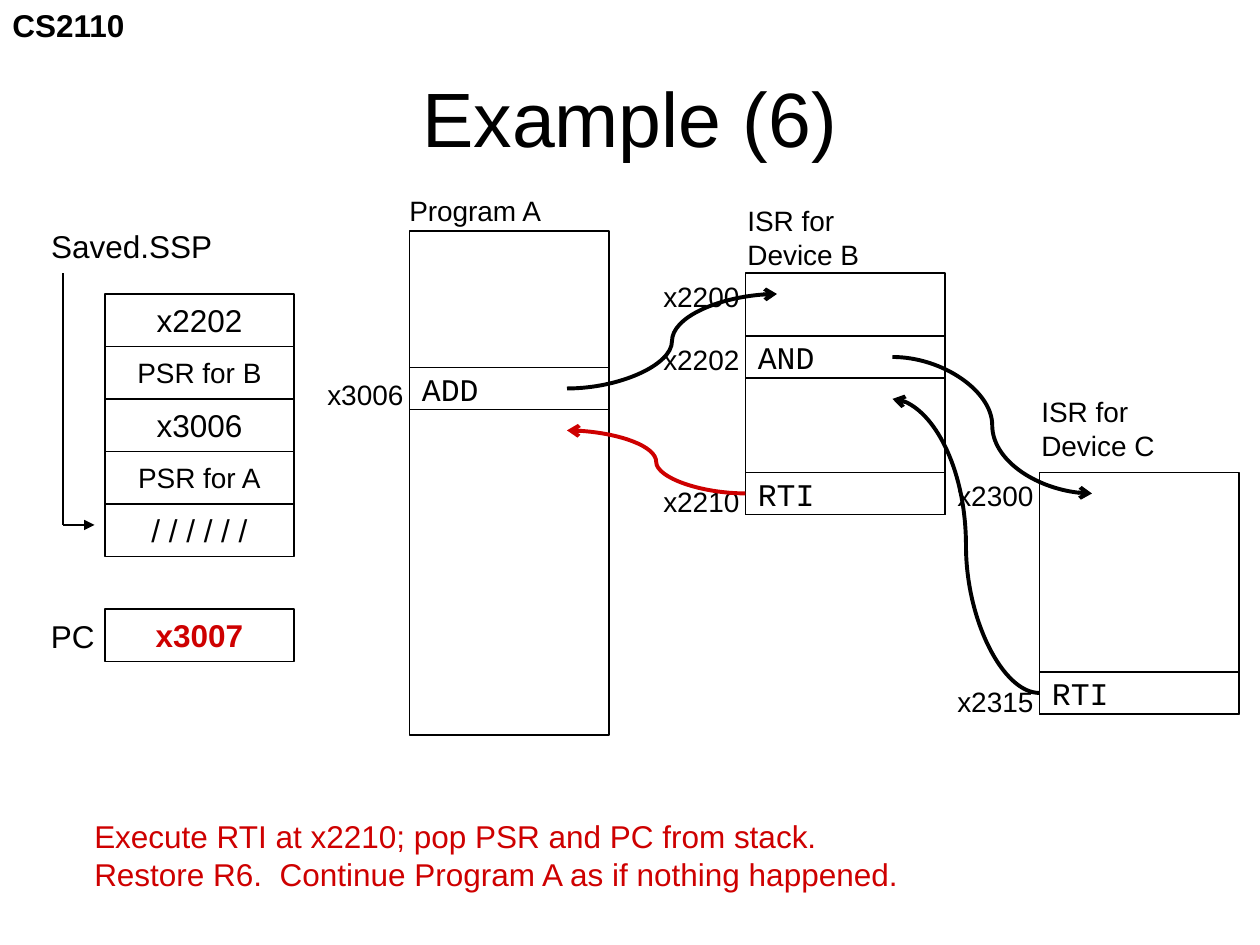
from collections import namedtuple
from dataclasses import dataclass

import pptx
import pptx.dml.color
import pptx.enum.shapes
import pptx.enum.text
import pptx.oxml
import pptx.oxml.ns
import pptx.util

Align = pptx.enum.text.PP_ALIGN
Anchor = pptx.enum.text.MSO_ANCHOR
Connector = pptx.enum.shapes.MSO_CONNECTOR

# Every length is in grid units: the slide has 120 columns and 90 rows.
COLUMNS, ROWS = 120, 90
Box = namedtuple("Box", "left top width height")


@dataclass(frozen=True)
class Theme:
    ink: str = "000000"
    accent: str = "CE0000"
    sans: str = "Arial"
    code: str = "Courier New"
    title: int = 44
    body: int = 18
    label: int = 16
    thin: float = 0.75
    medium: float = 1.5
    thick: float = 2.25


THEME = Theme()


def grid(units):
    return pptx.util.Inches(units / 12)


def paint(line, color, width):
    line.color.rgb = pptx.dml.color.RGBColor.from_string(color)
    line.width = pptx.util.Pt(width)


def write(text_frame, text, size=THEME.body, color=THEME.ink, font=THEME.sans,
          bold=False, align=Align.LEFT):
    text_frame.text = text
    for paragraph in text_frame.paragraphs:
        paragraph.alignment = align
        for run in paragraph.runs:
            run.font.name = font
            run.font.size = pptx.util.Pt(size)
            run.font.bold = bold
            run.font.color.rgb = pptx.dml.color.RGBColor.from_string(color)


def add_label(slide, box, text, **style):
    label = slide.shapes.add_textbox(*map(grid, box))
    label.text_frame.word_wrap = False
    write(label.text_frame, text, **style)


def add_cell(slide, box, text="", **style):
    cell = slide.shapes.add_shape(
        pptx.enum.shapes.MSO_SHAPE.RECTANGLE, *map(grid, box))
    cell.shadow.inherit = False
    cell.fill.background()
    paint(cell.line, THEME.ink, THEME.thin)
    if text:
        cell.text_frame.vertical_anchor = Anchor.MIDDLE
        write(cell.text_frame, text, **style)


def add_line(slide, start, end, kind=Connector.STRAIGHT, color=THEME.ink,
             width=THEME.medium, head=None):
    connector = slide.shapes.add_connector(kind, *map(grid, start + end))
    paint(connector.line, color, width)
    properties = connector._element.spPr
    if head:
        tail = pptx.oxml.parse_xml(
            f'<a:tailEnd {pptx.oxml.ns.nsdecls("a")} type="{head}"/>')
        connector.line._get_or_add_ln().append(tail)
    properties.append(pptx.oxml.parse_xml(
        f'<a:effectLst {pptx.oxml.ns.nsdecls("a")}/>'))


def add_header(slide, box):
    add_label(slide, Box(0, 0, 13.2, 4.8), "CS2110", bold=True)
    title = slide.shapes.title
    title.left, title.top, title.width, title.height = map(grid, box)
    title.text_frame.vertical_anchor = Anchor.MIDDLE
    write(title.text_frame, "Example (6)", size=THEME.title, align=Align.CENTER)


def add_stack(slide, box, entries):
    """Saved values from the top down, with the stack pointer and the PC beside them."""
    height = box.height / len(entries)
    for index, (text, size) in enumerate(entries):
        cell = Box(box.left, box.top + index * height, box.width, height)
        add_cell(slide, cell, text, size=size, align=Align.CENTER)

    pointer, bottom = box.left - 4, box.top + box.height - height / 2 - 0.5
    add_label(slide, Box(2, box.top - 7, 19.4, 5.2), "Saved.SSP", align=Align.RIGHT)
    add_line(slide, (pointer, bottom), (pointer, box.top - 2))
    add_line(slide, (pointer, bottom), (box.left - 1, bottom), head="triangle")

    counter = Box(box.left, box.top + box.height + height, box.width, height)
    add_cell(slide, counter, "x3007", color=THEME.accent, bold=True, align=Align.CENTER)
    add_label(slide, Box(3.1, counter.top + 0.2, 7.1, 5.2), "PC", align=Align.RIGHT)


def add_routine(slide, box, heading, heading_box, instructions, addresses):
    """A block of memory; instruction and address rows count from its top."""
    add_cell(slide, box)
    add_label(slide, Box(box.left + heading_box.left, box.top + heading_box.top,
                         heading_box.width, heading_box.height),
              heading, size=THEME.label)
    for row, code in instructions:
        add_cell(slide, Box(box.left, box.top + row, box.width, 4), code,
                 font=THEME.code)
    width = 9.7
    for row, address in addresses:
        add_label(slide, Box(box.left + 0.6 - width, box.top + row, width, 4.4),
                  address, size=THEME.label, align=Align.RIGHT)


def add_jumps(slide, jumps):
    for start, end, color in jumps:
        add_line(slide, start, end, Connector.CURVE, color, THEME.thick, "arrow")


def build_slide(presentation):
    slide = presentation.slides.add_slide(presentation.slide_layouts[5])
    add_header(slide, Box(6, 3.6, 108, 15))
    add_stack(slide, Box(10, 28, 18, 25), [
        ("x2202", THEME.body), ("PSR for B", THEME.label),
        ("x3006", THEME.body), ("PSR for A", THEME.label),
        ("/ / / / / /", THEME.body)])
    add_routine(slide, Box(39, 22, 19, 48), "Program A", Box(-1.2, -4.2, 15.1, 4.4),
                [(13, "ADD")], [(13.4, "x3006")])
    add_routine(slide, Box(71, 26, 19, 23), "ISR for\vDevice B", Box(-1, -7.2, 13.1, 7.7),
                [(6, "AND"), (19, "RTI")],
                [(0, "x2200"), (6, "x2202"), (19.6, "x2210")])
    add_routine(slide, Box(99, 45, 19, 23), "ISR for\vDevice C", Box(-1, -8, 13.2, 7.7),
                [(19, "RTI")], [(0, "x2300"), (19.6, "x2315")])
    add_jumps(slide, [
        ((54, 37), (74, 28), THEME.ink),
        ((85, 34), (104, 47), THEME.ink),
        ((99, 66), (85, 38), THEME.ink),
        ((71, 47), (54, 41), THEME.accent)])
    add_label(slide, Box(7.8, 77.2, 79.7, 8.5),
              "Execute RTI at x2210; pop PSR and PC from stack.\v"
              "Restore R6.  Continue Program A as if nothing happened.",
              color=THEME.accent)


def main():
    presentation = pptx.Presentation()
    presentation.slide_width = grid(COLUMNS)
    presentation.slide_height = grid(ROWS)
    build_slide(presentation)
    presentation.save("out.pptx")


if __name__ == "__main__":
    main()
